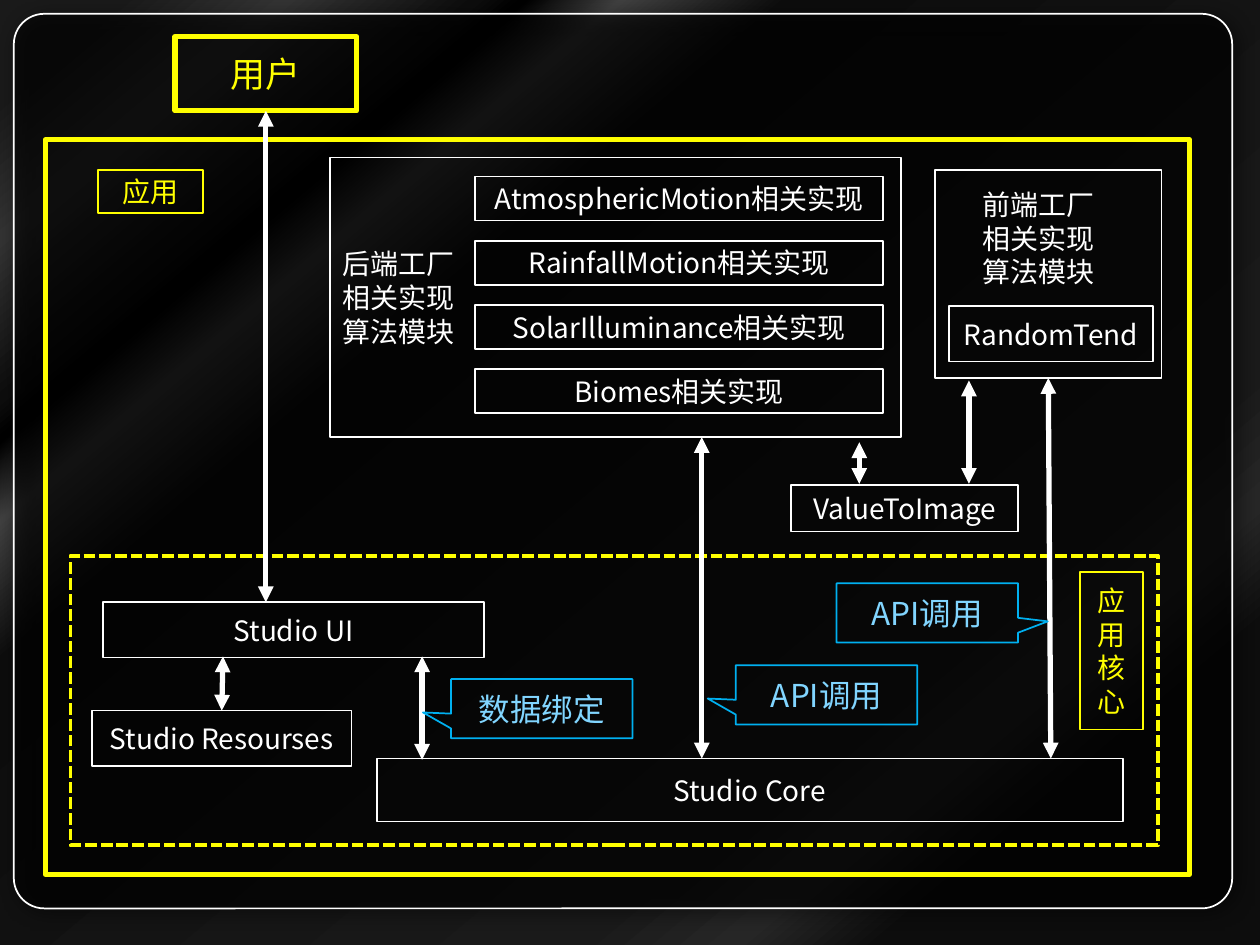
from dataclasses import dataclass

from copy import deepcopy
from lxml import etree
from pptx import Presentation
from pptx.dml.color import RGBColor
from pptx.enum import dml, shapes, text
from pptx.oxml import ns
from pptx.util import Pt

PX = 9144


@dataclass(frozen=True)
class Theme:
    font: str = "Noto Sans CJK SC"
    white: str = "FFFFFF"
    yellow: str = "FFFF00"
    cyan: str = "00B0F0"
    sky: str = "81D5FF"
    black: str = "000000"
    body: int = 16
    note: int = 18
    heading: int = 20
    thin: float = 1
    dash: float = 2.25
    thick: float = 3
    gradient_angle: int = 130
    gradient: tuple = (
        (16, "0D0D0D"), (22, "262626"), (29, "1A1A1A"),
        (67, "0D0D0D"), (74, "404040"), (78, "000000"),
        (80, "0D0D0D"), (88, "333333"), (95, "1A1A1A"),
    )


THEME = Theme()


@dataclass(frozen=True)
class Box:
    left: int
    top: int
    width: int
    height: int

    def inner(self, left, top, width, height):
        return Box(self.left + left, self.top + top, width, height)

    def emu(self):
        return [value * PX for value in (self.left, self.top, self.width, self.height)]


def color(value):
    return RGBColor.from_string(value)


def add_xml(parent, tag, **attributes):
    element = etree.SubElement(parent, ns.qn(tag))
    for name, value in attributes.items():
        element.set(name, str(value))
    return element


def write(shape, words, size, ink, align, anchor):
    frame = shape.text_frame
    frame.word_wrap = True
    frame.vertical_anchor = anchor
    frame.text = words
    for paragraph in frame.paragraphs:
        paragraph.alignment = align
        for run in paragraph.runs:
            run.font.size = Pt(size)
            run.font.name = THEME.font
            run.font.color.rgb = color(ink)
            add_xml(run.font._element, "a:ea", typeface=THEME.font)


def add_panel(slide, box, words="", line=THEME.white, ink=None, width=THEME.thin,
              size=THEME.body, kind=shapes.MSO_SHAPE.RECTANGLE,
              align=text.PP_ALIGN.CENTER, anchor=text.MSO_ANCHOR.MIDDLE):
    shape = slide.shapes.add_shape(kind, *box.emu())
    shape.shadow.inherit = False
    shape.fill.background()
    shape.line.color.rgb = color(line)
    shape.line.width = Pt(width)
    if words:
        write(shape, words, size, ink or line, align, anchor)
    return shape


def add_arrow(slide, start, end, start_shape=None, end_shape=None):
    points = [value * PX for value in (*start, *end)]
    arrow = slide.shapes.add_connector(shapes.MSO_CONNECTOR.STRAIGHT, *points)
    arrow.line.color.rgb = color(THEME.white)
    arrow.line.width = Pt(THEME.thick)
    line = arrow.line._get_or_add_ln()
    add_xml(line, "a:headEnd", type="triangle")
    add_xml(line, "a:tailEnd", type="triangle")
    add_xml(arrow._element.spPr, "a:effectLst")
    if start_shape:
        arrow.begin_connect(start_shape, 2)
    if end_shape:
        arrow.end_connect(end_shape, 0)


def add_callout(slide, box, words, tip):
    callout = add_panel(slide, box, words, THEME.cyan, THEME.sky, size=THEME.note,
                        kind=shapes.MSO_SHAPE.RECTANGULAR_CALLOUT)
    callout.adjustments[0], callout.adjustments[1] = tip


def paint_background(slide):
    fill = slide.background.fill
    fill.gradient()
    fill.gradient_angle = THEME.gradient_angle
    stop_list = next(slide.element.iter(ns.qn("a:gsLst")))
    for _ in THEME.gradient[len(stop_list):]:
        stop_list.append(deepcopy(stop_list[0]))
    for stop, (position, value) in zip(fill.gradient_stops, THEME.gradient):
        stop.position = position / 100
        stop.color.rgb = color(value)


def draw_frame(slide, box):
    frame = add_panel(slide, box, kind=shapes.MSO_SHAPE.ROUNDED_RECTANGLE)
    frame.adjustments[0] = 0.034
    frame.fill.solid()
    frame.fill.fore_color.rgb = color(THEME.black)
    properties = frame._element.spPr
    add_xml(properties.find(".//" + ns.qn("a:srgbClr")), "a:alpha", val=50000)
    shadow = add_xml(properties.find(ns.qn("a:effectLst")), "a:outerShdw",
                     blurRad=Pt(10), dist=Pt(3), dir=45 * 60000)
    shade = add_xml(shadow, "a:srgbClr", val=THEME.black)
    add_xml(shade, "a:alpha", val=80000)


def draw_application(slide, box):
    add_panel(slide, box, line=THEME.yellow, width=THEME.thick)
    add_panel(slide, box.inner(42, 24, 83, 34), "应用", THEME.yellow)


def draw_backend(slide, box):
    add_panel(slide, box, "后端工厂\n相关实现\n算法模块", align=text.PP_ALIGN.LEFT)
    names = ("AtmosphericMotion", "RainfallMotion", "SolarIlluminance", "Biomes")
    for row, name in enumerate(names):
        add_panel(slide, box.inner(115, 15 + row * 51, 324, 35), f"{name}相关实现")


def draw_frontend(slide, box):
    panel = add_panel(slide, box)
    add_panel(slide, box.inner(11, 108, 162, 44), "RandomTend")
    label = slide.shapes.add_textbox(*box.inner(28, 9, 122, 91).emu())
    write(label, "前端工厂\n相关实现\n算法模块", THEME.body, THEME.white,
          text.PP_ALIGN.LEFT, text.MSO_ANCHOR.TOP)
    return panel


def draw_core(slide, box):
    border = add_panel(slide, box, line=THEME.yellow, width=THEME.dash)
    border.line.dash_style = dml.MSO_LINE.SQUARE_DOT
    add_panel(slide, box.inner(243, 161, 592, 50), "Studio Core")
    add_panel(slide, box.inner(26, 37, 302, 44), "Studio UI")
    resources = add_panel(slide, box.inner(17, 123, 206, 44), "Studio Resourses")
    add_panel(slide, box.inner(801, 13, 50, 125), "应用核心", THEME.yellow)
    return resources


def draw_callouts(slide, box):
    left_tip = (-0.655, 0.063)
    right_tip = (0.664, 0.143)
    for left, top, words, tip in ((528, 87, "API调用", left_tip),
                                  (302, 98, "数据绑定", left_tip),
                                  (608, 22, "API调用", right_tip)):
        add_callout(slide, box.inner(left, top, 144, 47), words, tip)


def draw_arrows(slide, user, frontend, resources):
    add_arrow(slide, (211, 88), (211, 478), start_shape=user)
    add_arrow(slide, (832, 300), (834, 602), start_shape=frontend)
    add_arrow(slide, (177, 521), (176, 564), end_shape=resources)
    for x, top, bottom in ((557, 347, 602), (335, 521, 603),
                           (769, 302, 384), (682, 351, 384)):
        add_arrow(slide, (x, top), (x, bottom))


def main():
    presentation = Presentation()
    presentation.slide_width = 1000 * PX
    presentation.slide_height = 750 * PX
    slide = presentation.slides.add_slide(presentation.slide_layouts[6])
    core_box = Box(56, 441, 863, 230)
    paint_background(slide)
    draw_frame(slide, Box(11, 11, 967, 710))
    draw_application(slide, Box(36, 111, 908, 583))
    resources = draw_core(slide, core_box)
    user = add_panel(slide, Box(139, 29, 144, 59), "用户", THEME.yellow,
                     width=THEME.thick, size=THEME.heading)
    draw_backend(slide, Box(262, 125, 453, 222))
    frontend = draw_frontend(slide, Box(742, 135, 180, 165))
    add_panel(slide, Box(628, 385, 180, 37), "ValueToImage", anchor=text.MSO_ANCHOR.TOP)
    draw_arrows(slide, user, frontend, resources)
    draw_callouts(slide, core_box)
    presentation.save("out.pptx")


if __name__ == "__main__":
    main()
